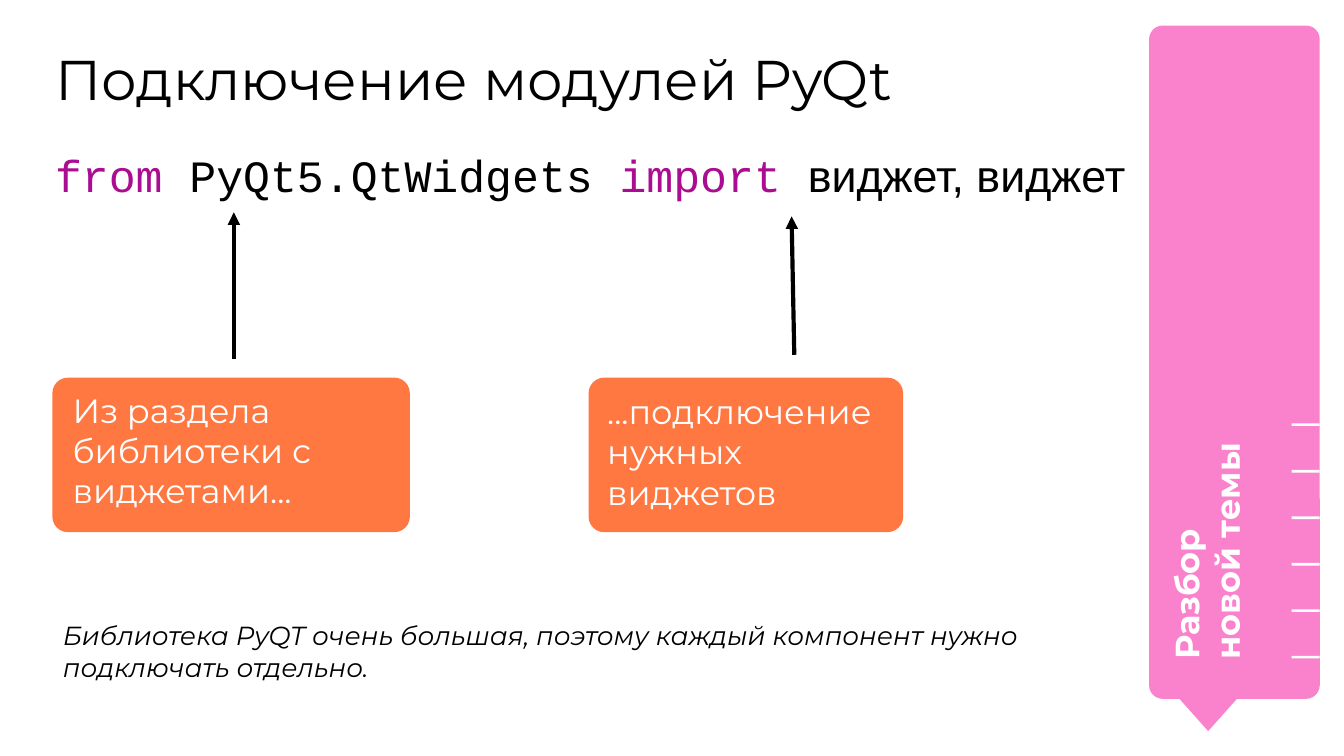
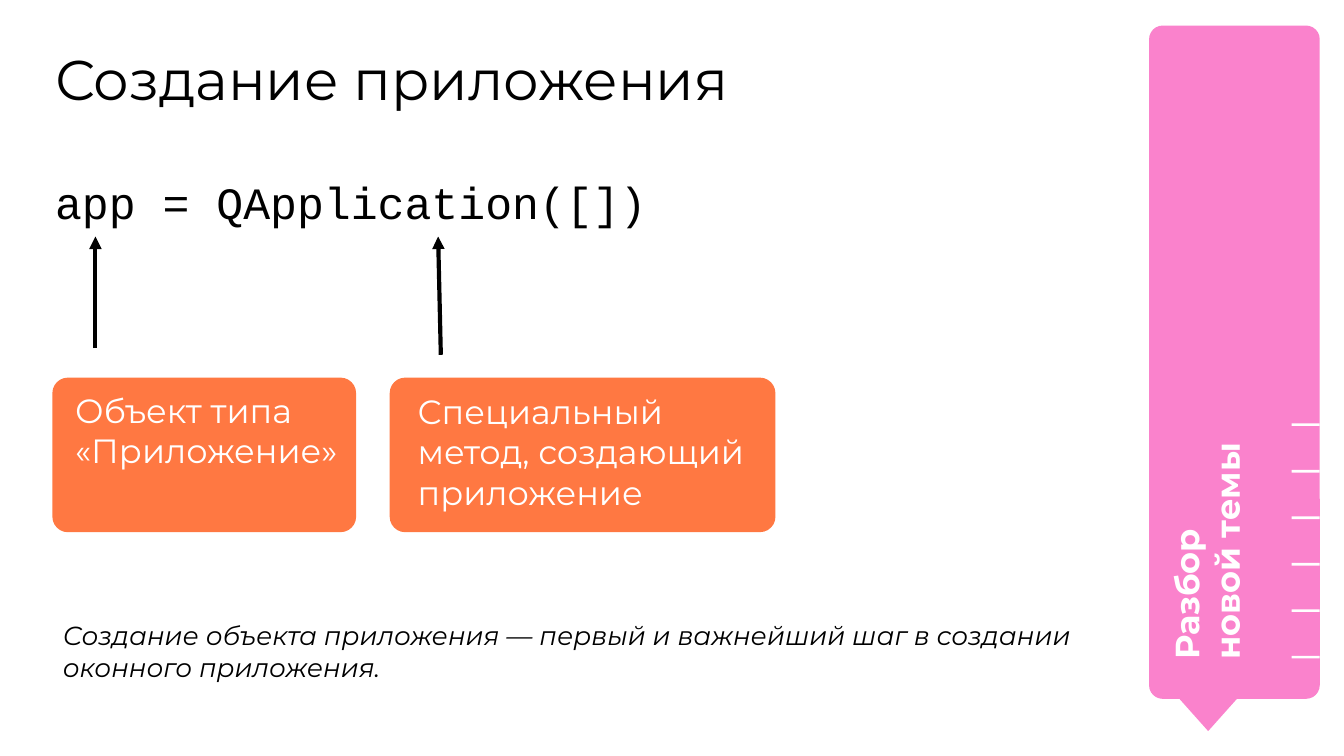
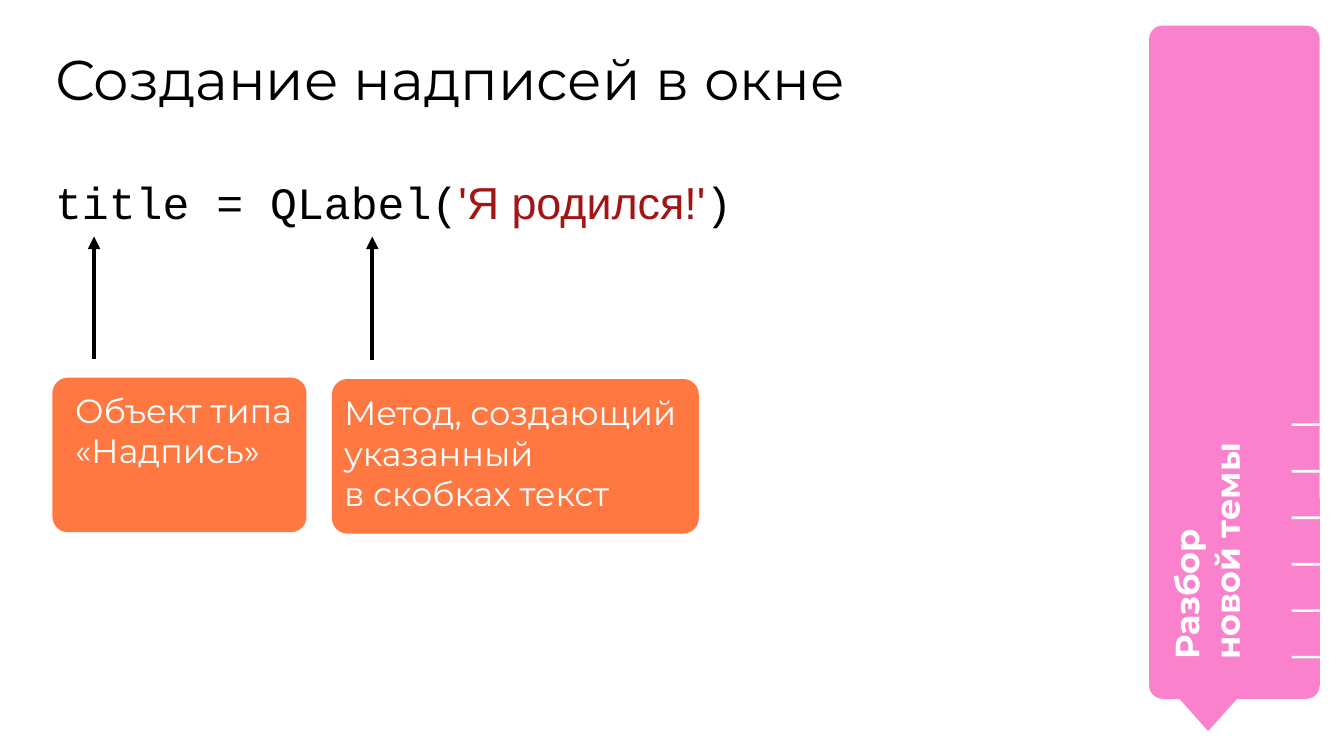
"""Builds three lesson slides on PyQt modules, the application and labels."""
from lxml.etree import SubElement
from pptx import Presentation
from pptx.dml.color import RGBColor
from pptx.enum.shapes import MSO_CONNECTOR as Line, MSO_SHAPE as Shape
from pptx.oxml.ns import qn
from pptx.util import Inches, Pt

BLACK = RGBColor(0x00, 0x00, 0x00)
WHITE = RGBColor(0xFF, 0xFF, 0xFF)
PINK = RGBColor(0xFA, 0x82, 0xCC)
ORANGE = RGBColor(0xFF, 0x78, 0x42)
KEYWORD = RGBColor(0xAA, 0x0D, 0x91)
STRING = RGBColor(0xA3, 0x15, 0x15)

BODY, CODE, PLAIN = "Montserrat", "Courier New", "Arial"
COLUMNS = 100
CALLOUT_TOP, CALLOUT_HEIGHT = 28.1, 11.5
BELOW_CODE = 17.6


class Lesson:
    """Holds the deck style and the current slide; lengths are grid cells."""

    def __init__(self):
        self.deck = Presentation()
        self.deck.slide_width, self.deck.slide_height = Inches(10), Inches(5.625)
        self.cell = self.deck.slide_width / COLUMNS
        self.slide = None

    def grid(self, *cells):
        return [round(count * self.cell) for count in cells]

    def start(self, heading):
        self.slide = self.deck.slides.add_slide(self.deck.slide_layouts[6])
        self.side_panel()
        self.text((4.1, 3.3, 76.7, 5.4), [[(heading, BODY, BLACK)]], 30)

    def block(self, kind, place, color, corner=None, parent=None):
        block = (parent or self.slide).shapes.add_shape(kind, *self.grid(*place))
        block.shadow.inherit = False
        block.fill.solid()
        block.fill.fore_color.rgb = color
        block.line.fill.background()
        if corner:
            block.adjustments[0] = corner

    def text(self, place, paragraphs, size, inset=0, spacing=None, turn=0,
             bold=False, italic=False):
        box = self.slide.shapes.add_textbox(*self.grid(*place))
        box.rotation = turn
        frame = box.text_frame
        frame.word_wrap = True
        frame.margin_left = frame.margin_right = self.grid(inset)[0]
        frame.margin_top = frame.margin_bottom = self.grid(inset)[0]
        for index, pieces in enumerate(paragraphs):
            paragraph = frame.add_paragraph() if index else frame.paragraphs[0]
            if spacing:
                paragraph.line_spacing = spacing
            for words, face, color in pieces:
                run = paragraph.add_run()
                run.text = words
                run.font.name, run.font.size = face, Pt(size)
                run.font.bold, run.font.italic = bold, italic
                run.font.color.rgb = color

    def side_panel(self):
        panel = self.slide.shapes.add_group_shape()
        self.block(Shape.ROUNDED_RECTANGLE, (85.5, 1.9, 12.7, 50.1), PINK, 0.08, panel)
        self.block(Shape.FLOWCHART_MERGE, (86.6, 50.7, 6.6, 3.7), PINK, parent=panel)
        section = [[(words, BODY, WHITE)] for words in ("Разбор", "новой темы")]
        self.text((71.4, 29, 35.4, 6.7), section, 18, inset=1, turn=270, bold=True)
        for mark in range(6):
            self.block(Shape.RECTANGLE, (96.1, 31.5 + 3.46 * mark, 2.1, 0.2), WHITE)

    def code(self, pieces, spacing=None):
        self.text((4.1, 11, 79.7, 9.4), [pieces], 24, spacing=spacing)

    def callout(self, left, width, label, label_place, inset=0, top=CALLOUT_TOP):
        self.block(Shape.ROUNDED_RECTANGLE, (left, top, width, CALLOUT_HEIGHT),
                   ORANGE, 0.1)
        self.text(label_place, [[(words, BODY, WHITE)] for words in label], 18, inset)

    def arrow(self, *ends):
        arrow = self.slide.shapes.add_connector(Line.STRAIGHT, *self.grid(*ends))
        arrow.line.color.rgb = BLACK
        arrow.line.width = Pt(2.25)
        SubElement(arrow.line._get_or_add_ln(), qn("a:tailEnd"), type="triangle")
        SubElement(arrow._element.spPr, qn("a:effectLst"))

    def remark(self, words):
        self.text((3.7, 45.1, 78.4, 8.3), [[(words, BODY, BLACK)]], 14, inset=1,
                  italic=True)


def main():
    lesson = Lesson()

    lesson.start("Подключение модулей PyQt")
    lesson.code([("from", CODE, KEYWORD), (" PyQt5.QtWidgets ", CODE, BLACK),
                 ("import ", CODE, KEYWORD), ("виджет, виджет", PLAIN, BLACK)])
    lesson.callout(3.9, 26.6, ["Из раздела библиотеки с виджетами..."],
                   (5.4, 29, 26.1, 13))
    lesson.callout(43.8, 23.4, ["...подключение нужных виджетов"],
                   (44.2, CALLOUT_TOP, 22.6, CALLOUT_HEIGHT), inset=1)
    lesson.arrow(17.4, 26.7, 17.4, 15.8)
    lesson.arrow(59.1, 26.4, 58.9, 16.1)
    lesson.remark("Библиотека PyQT очень большая, поэтому каждый компонент "
                  "нужно подключать отдельно.")

    lesson.start("Создание приложения")
    lesson.code([("app = QApplication([])", CODE, BLACK)], spacing=1.5)
    lesson.callout(3.9, 22.6, ["Объект типа «Приложение»"], (5.6, 29, 20.9, 13))
    lesson.callout(29, 28.7, ["Специальный метод, создающий приложение"],
                   (30.1, CALLOUT_TOP, 27.7, CALLOUT_HEIGHT), inset=1)
    lesson.arrow(7.1, 25.9, 7.1, BELOW_CODE)
    lesson.arrow(32.8, 26.4, 32.6, BELOW_CODE)
    lesson.remark("Создание объекта приложения — первый и важнейший шаг "
                  "в создании оконного приложения.")

    lesson.start("Создание надписей в окне")
    lesson.code([("title = QLabel(", CODE, BLACK), ("'Я родился!'", PLAIN, STRING),
                 (")", CODE, BLACK)], spacing=1.5)
    lesson.callout(3.9, 18.9, ["Объект типа «Надпись»"], (5.6, 29, 17.2, 13))
    lesson.callout(24.7, 27.3, ["Метод, создающий указанный", "в скобках текст"],
                   (25.6, 29.2, 29.1, 13), top=28.2)
    lesson.arrow(7, 26.7, 7, BELOW_CODE)
    lesson.arrow(27.7, 26.8, 27.7, BELOW_CODE)

    lesson.deck.save("out.pptx")


if __name__ == "__main__":
    main()
